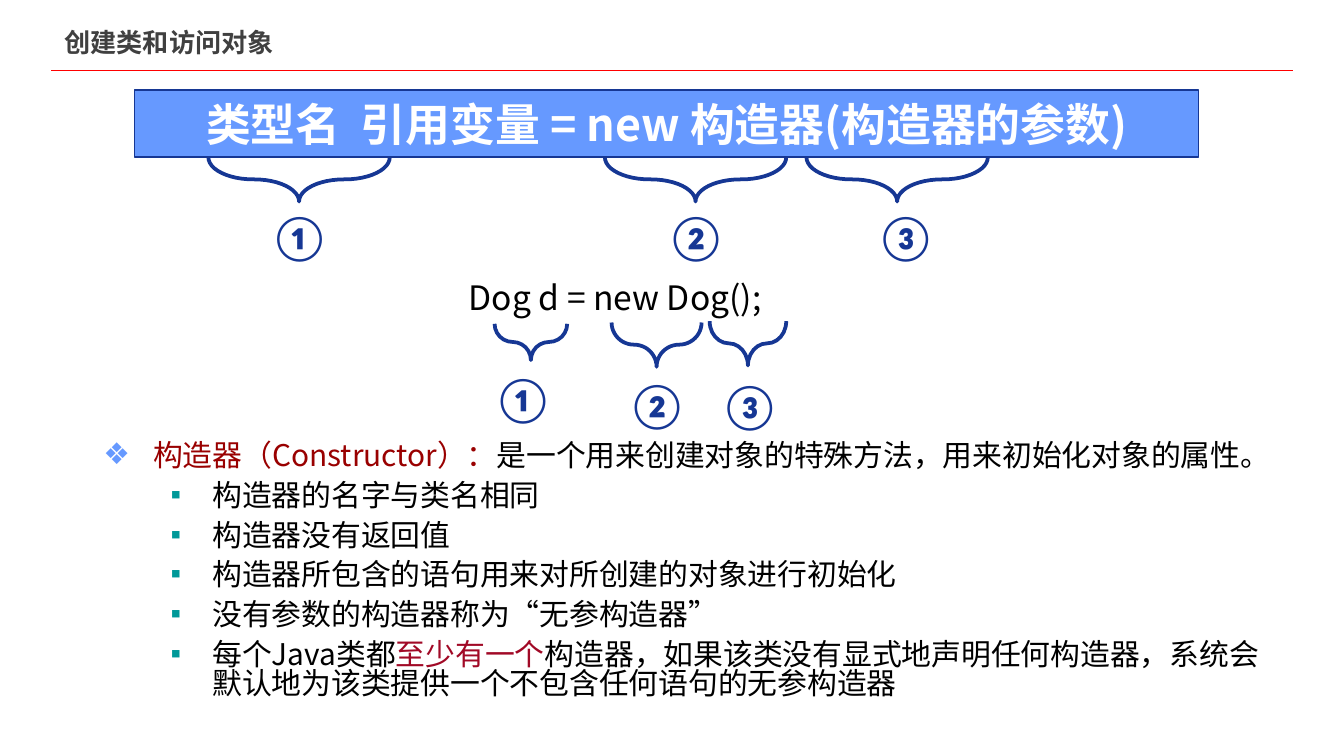
from dataclasses import dataclass

import pptx
import pptx.dml.color
import pptx.enum.shapes
import pptx.enum.text
import pptx.oxml.ns
import pptx.util
from lxml import etree
from pptx.util import Inches

ANCHOR = pptx.enum.text.MSO_ANCHOR
ALIGN = pptx.enum.text.PP_ALIGN
AUTO_SIZE = pptx.enum.text.MSO_AUTO_SIZE
SHAPE = pptx.enum.shapes.MSO_SHAPE


@dataclass(frozen=True)
class Theme:
    font: str = "Noto Sans CJK SC"
    number_font: str = "Calibri"
    navy: str = "163794"
    blue: str = "6699FF"
    teal: str = "009999"
    rule: str = "FF0000"
    heading: str = "404040"
    term: str = "990000"
    emphasis: str = "A10926"
    ink: str = "000000"
    white: str = "FFFFFF"
    title_size: float = 14
    body_size: float = 16
    example_size: float = 18
    syntax_size: float = 24


@dataclass(frozen=True)
class Brace:
    """A downward brace, given by the area it covers on the slide."""
    left: float
    top: float
    span: float
    depth: float = 0.33


@dataclass(frozen=True)
class Number:
    symbol: str
    left: float
    top: float
    width: float


@dataclass(frozen=True)
class Level:
    bullet: str
    bullet_color: str
    margin: float
    hanging: float
    space_before: float


THEME = Theme()
TOPIC = Level("❖", THEME.blue, 0.37, 0.37, 7)
POINT = Level("▪", THEME.teal, 0.81, 0.31, 6)

BRACES = [
    Brace(1.55, 1.17, 1.35),
    Brace(4.5, 1.17, 1.35),
    Brace(6, 1.17, 1.35),
    Brace(3.68, 2.41, 0.54, 0.27),
    Brace(4.55, 2.4, 0.67),
    Brace(5.28, 2.39, 0.57),
]
NUMBERS = [
    Number("①", 1.91, 1.5, 0.73),
    Number("②", 4.86, 1.5, 0.53),
    Number("③", 6.42, 1.5, 0.73),
    Number("①", 3.64, 2.71, 0.13),
    Number("②", 4.57, 2.75, 0.53),
    Number("③", 5.26, 2.76, 0.73),
]
EXPLANATION = [
    (TOPIC, [("构造器（Constructor）：", THEME.term),
             ("是一个用来创建对象的特殊方法，用来初始化对象的属性。", THEME.ink)]),
    (POINT, [("构造器的名字与类名相同", THEME.ink)]),
    (POINT, [("构造器没有返回值", THEME.ink)]),
    (POINT, [("构造器所包含的语句用来对所创建的对象进行初始化", THEME.ink)]),
    (POINT, [("没有参数的构造器称为“无参构造器”", THEME.ink)]),
    (POINT, [("每个Java类都", THEME.ink),
             ("至少有一个", THEME.emphasis),
             ("构造器，如果该类没有显式地声明任何构造器，"
              "系统会默认地为该类提供一个不包含任何语句的无参构造器", THEME.ink)]),
]


def rgb(color: str) -> pptx.dml.color.RGBColor:
    return pptx.dml.color.RGBColor.from_string(color)


def place(shape, left: float, top: float, width: float, height: float) -> None:
    shape.left, shape.top = Inches(left), Inches(top)
    shape.width, shape.height = Inches(width), Inches(height)


def format_run(run, size: float, color: str, bold: bool = False,
               font: str = THEME.font) -> None:
    run.font.size = pptx.util.Pt(size)
    run.font.bold = bold
    run.font.name = font
    run.font.color.rgb = rgb(color)
    east_asian = etree.SubElement(run.font._element, pptx.oxml.ns.qn("a:ea"))
    east_asian.set("typeface", font)


def write_line(shape, text: str, size: float, color: str, bold: bool = False,
               font: str = THEME.font, align=ALIGN.LEFT, anchor=ANCHOR.MIDDLE) -> None:
    frame = shape.text_frame
    frame.text = text
    frame.word_wrap = True
    frame.auto_size = AUTO_SIZE.NONE
    frame.vertical_anchor = anchor
    paragraph = frame.paragraphs[0]
    paragraph.alignment = align
    format_run(paragraph.runs[0], size, color, bold, font)


def style_level(paragraph, level: Level) -> None:
    paragraph.level = 0 if level is TOPIC else 1
    paragraph.line_spacing = 0.8
    paragraph.space_before = pptx.util.Pt(level.space_before)
    properties = paragraph._p.get_or_add_pPr()
    properties.set("marL", str(Inches(level.margin)))
    properties.set("indent", str(-Inches(level.hanging)))
    bullet_color = etree.SubElement(properties, pptx.oxml.ns.qn("a:buClr"))
    etree.SubElement(bullet_color, pptx.oxml.ns.qn("a:srgbClr")).set("val", level.bullet_color)
    etree.SubElement(properties, pptx.oxml.ns.qn("a:buChar")).set("char", level.bullet)


def write_explanation(body) -> None:
    frame = body.text_frame
    frame.word_wrap = True
    frame.auto_size = AUTO_SIZE.TEXT_TO_FIT_SHAPE
    frame.vertical_anchor = ANCHOR.TOP
    for index, (level, parts) in enumerate(EXPLANATION):
        paragraph = frame.add_paragraph() if index else frame.paragraphs[0]
        style_level(paragraph, level)
        for text, color in parts:
            run = paragraph.add_run()
            run.text = text
            format_run(run, THEME.body_size, color)


def draw_rule(slide) -> None:
    rule = slide.shapes.add_connector(pptx.enum.shapes.MSO_CONNECTOR.STRAIGHT,
                                      Inches(0.38), Inches(0.52), Inches(9.62), Inches(0.52))
    rule.line.color.rgb = rgb(THEME.rule)
    rule.line.width = pptx.util.Pt(0.25)
    etree.SubElement(rule._element.spPr, pptx.oxml.ns.qn("a:effectLst"))


def draw_syntax(slide) -> None:
    banner = slide.shapes.add_shape(SHAPE.RECTANGLE, Inches(1), Inches(0.67),
                                    Inches(7.92), Inches(0.5))
    banner.shadow.inherit = False
    banner.fill.solid()
    banner.fill.fore_color.rgb = rgb(THEME.blue)
    banner.line.color.rgb = rgb(THEME.navy)
    banner.line.width = pptx.util.Pt(0.75)
    write_line(banner, "类型名  引用变量 = new 构造器(构造器的参数)", THEME.syntax_size,
               THEME.white, bold=True, align=ALIGN.CENTER)


def draw_brace(slide, brace: Brace) -> None:
    """Turn a right brace a quarter round about the centre of its area."""
    offset = (brace.span - brace.depth) / 2
    shape = slide.shapes.add_shape(SHAPE.RIGHT_BRACE, Inches(brace.left + offset),
                                   Inches(brace.top - offset),
                                   Inches(brace.depth), Inches(brace.span))
    shape.rotation = 90
    shape.adjustments[0] = 1.01
    shape.shadow.inherit = False
    shape.fill.background()
    shape.line.color.rgb = rgb(THEME.navy)
    shape.line.width = pptx.util.Pt(2)


def draw_number(slide, number: Number) -> None:
    label = slide.shapes.add_textbox(Inches(number.left), Inches(number.top),
                                     Inches(number.width), Inches(0.5))
    write_line(label, number.symbol, THEME.syntax_size, THEME.navy, bold=True,
               font=THEME.number_font)


def main() -> None:
    deck = pptx.Presentation()
    deck.slide_width = Inches(10)
    deck.slide_height = deck.slide_width * 9 // 16
    slide = deck.slides.add_slide(deck.slide_layouts[1])
    title, body = slide.placeholders
    draw_rule(slide)
    place(title, 0.38, 0.16, 4.38, 0.3)
    write_line(title, "创建类和访问对象", THEME.title_size, THEME.heading, bold=True)
    place(body, 0.67, 3.25, 9, 2.1)
    write_explanation(body)
    draw_syntax(slide)
    example = slide.shapes.add_textbox(Inches(3.39), Inches(2.01), Inches(2.61), Inches(0.4))
    write_line(example, "Dog d = new Dog();", THEME.example_size, THEME.ink,
               anchor=ANCHOR.TOP)
    for brace in BRACES:
        draw_brace(slide, brace)
    for number in NUMBERS:
        draw_number(slide, number)
    deck.save("out.pptx")


if __name__ == "__main__":
    main()
